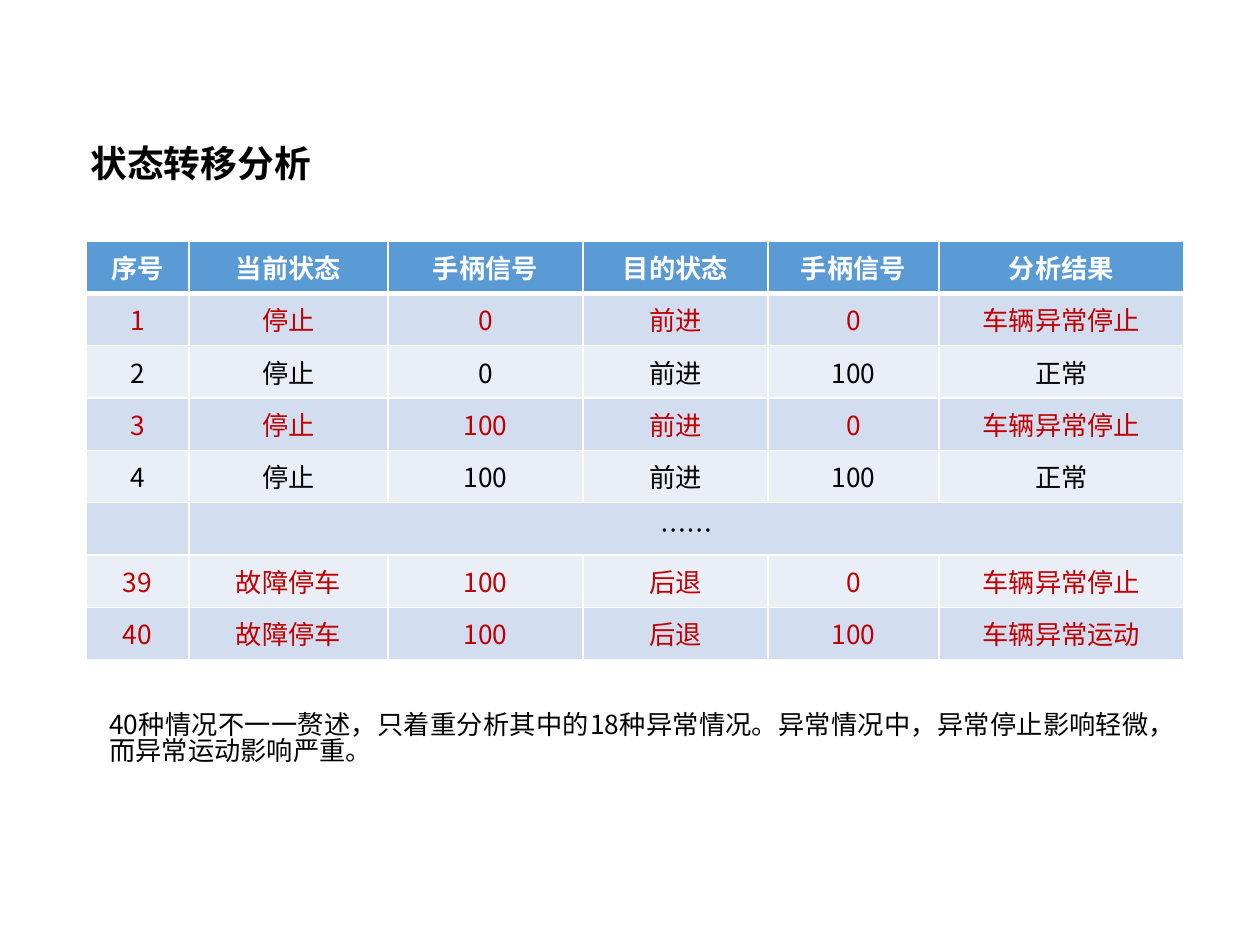
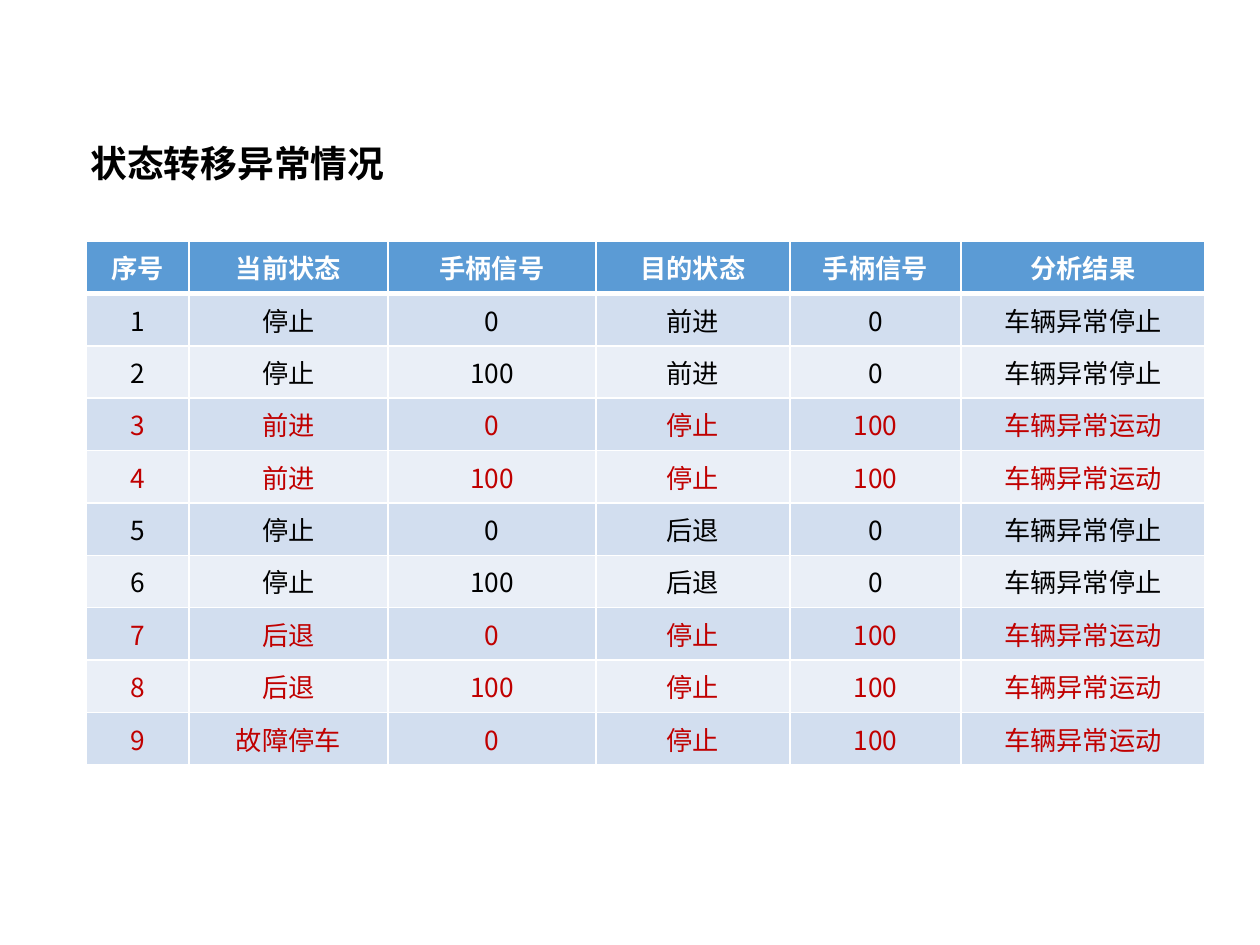
from lxml.etree import SubElement
from pptx import Presentation
from pptx.dml.color import RGBColor
from pptx.enum.text import MSO_ANCHOR, PP_ALIGN
from pptx.oxml.ns import qn
from pptx.util import Emu, Pt

FONT = "Noto Sans CJK SC"
BLACK, WHITE, RED = "000000", "FFFFFF", "C00000"
HEADER_FILL, BANDS = "5B9BD5", ("D2DEEF", "EAEFF7")
TITLE_BOX = (78, 140, 456, 99)
NOTE_BOX = (97, 708, 1065, 77)
HEADERS = ["序号", "当前状态", "手柄信号", "目的状态", "手柄信号", "分析结果"]
GAP = ["", "……"]

TRANSITIONS = [
    ["1", "停止", "0", "前进", "0", "车辆异常停止"],
    ["2", "停止", "0", "前进", "100", "正常"],
    ["3", "停止", "100", "前进", "0", "车辆异常停止"],
    ["4", "停止", "100", "前进", "100", "正常"],
    GAP,
    ["39", "故障停车", "100", "后退", "0", "车辆异常停止"],
    ["40", "故障停车", "100", "后退", "100", "车辆异常运动"],
]
ANOMALIES = [
    ["1", "停止", "0", "前进", "0", "车辆异常停止"],
    ["2", "停止", "100", "前进", "0", "车辆异常停止"],
    ["3", "前进", "0", "停止", "100", "车辆异常运动"],
    ["4", "前进", "100", "停止", "100", "车辆异常运动"],
    ["5", "停止", "0", "后退", "0", "车辆异常停止"],
    ["6", "停止", "100", "后退", "0", "车辆异常停止"],
    ["7", "后退", "0", "停止", "100", "车辆异常运动"],
    ["8", "后退", "100", "停止", "100", "车辆异常运动"],
    ["9", "故障停车", "0", "停止", "100", "车辆异常运动"],
]
NOTE = ("40种情况不一一赘述，只着重分析其中的18种异常情况。"
        "异常情况中，异常停止影响轻微，而异常运动影响严重。")


def px(n):
    return Emu(round(n * 914400 / 126))


def rgb(color):
    return RGBColor.from_string(color)


def write(tf, text, size, color, bold=False, align=PP_ALIGN.LEFT, spacing=None):
    tf.text = text
    p = tf.paragraphs[0]
    p.alignment = align
    p.line_spacing = spacing
    for r in p.runs:
        r.font.size = Pt(size)
        r.font.bold = bold
        r.font.color.rgb = rgb(color)
        r.font.name = FONT
        SubElement(r._r.get_or_add_rPr(), qn("a:ea"), typeface=FONT)


def add_text(s, box, text, size, **style):
    tf = s.shapes.add_textbox(*map(px, box)).text_frame
    tf.word_wrap = True
    write(tf, text, size, BLACK, **style)


def add_borders(cell, top, bottom):
    tcPr = cell._tc.get_or_add_tcPr()
    for side, width in (("L", 1), ("R", 1), ("T", top), ("B", bottom)):
        ln = SubElement(tcPr, qn(f"a:ln{side}"), w=str(Pt(width)))
        fill = SubElement(ln, qn("a:solidFill"))
        SubElement(fill, qn("a:srgbClr"), val=WHITE)


def style_cell(cell, row):
    add_borders(cell, 3 if row == 1 else 1, 3 if row == 0 else 1)
    cell.fill.solid()
    cell.fill.fore_color.rgb = rgb(BANDS[(row - 1) % 2] if row else HEADER_FILL)
    cell.vertical_anchor = MSO_ANCHOR.MIDDLE
    cell.margin_left = cell.margin_right = px(9)
    cell.margin_top = cell.margin_bottom = px(5)


def add_state_table(s, box, widths, rows, alert):
    data = [HEADERS] + rows
    table = s.shapes.add_table(len(data), len(widths), *map(px, box)).table
    for column, width in zip(table.columns, widths):
        column.width = px(width)
    for i, values in enumerate(data):
        table.rows[i].height = px(box[3] / len(data))
        for j in range(len(widths)):
            style_cell(table.cell(i, j), i)
        if values is GAP:
            table.cell(i, 1).merge(table.cell(i, len(widths) - 1))
        color = WHITE if i == 0 else RED if alert in values[-1] else BLACK
        for j, value in enumerate(values):
            write(table.cell(i, j).text_frame, value, 15, color,
                  bold=i == 0, align=PP_ALIGN.CENTER)


def add_state_slide(prs, title, box, widths, rows, alert):
    s = prs.slides.add_slide(prs.slide_layouts[6])
    add_text(s, TITLE_BOX, title, 21, bold=True, spacing=0.9)
    add_state_table(s, box, widths, rows, alert)
    return s


def main():
    prs = Presentation()
    prs.slide_width, prs.slide_height = px(1260), px(945)
    s = add_state_slide(prs, "状态转移分析", (86, 241, 1098, 419),
                        (103, 199, 195, 185, 171, 245), TRANSITIONS, "异常")
    add_text(s, NOTE_BOX, NOTE, 15, align=PP_ALIGN.JUSTIFY, spacing=0.82)
    add_state_slide(prs, "状态转移异常情况", (86, 241, 1119, 524),
                    (103, 199, 208, 194, 171, 244), ANOMALIES, "异常运动")
    prs.save("out.pptx")


if __name__ == "__main__":
    main()
